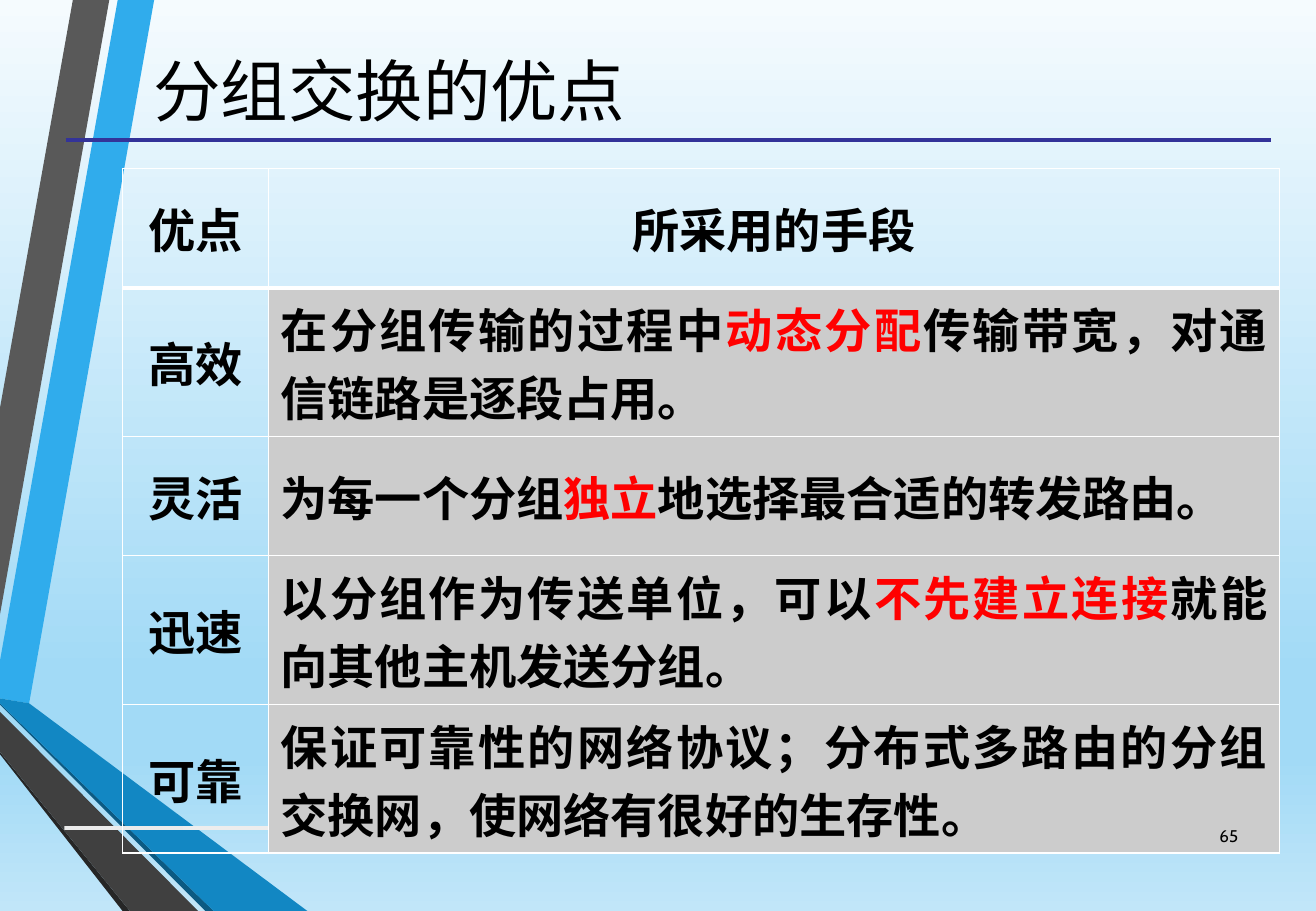
from lxml.etree import SubElement
from pptx import Presentation
from pptx.dml.color import RGBColor
from pptx.enum.shapes import MSO_CONNECTOR as Connector, MSO_SHAPE as Preset
from pptx.enum.text import MSO_ANCHOR as Anchor, MSO_AUTO_SIZE as AutoSize, PP_ALIGN as Align
from pptx.oxml.ns import qn
from pptx.util import Pt

COLORS = {
    "black": "000000", "red": "FF0000", "white": "FFFFFF", "cell": "CCCCCC",
    "rule": "333399", "mist": "EBEBEB", "sky_top": "F5FBFE", "sky": "A2DAF6",
    "sky_end": "C1E6F9", "blue": "30ACEC", "mid_blue": "1287C3", "deep_blue": "0C5A82",
    "gray": "595959", "dark_gray": "404040", "charcoal": "262626",
}
RIBBONS = [
    ("blue", [(0, 391.7), (0, 414), (17.3, 416.9), (91.4, 0), (69.8, 0)]),
    ("gray", [(64.8, 0), (43.2, 0), (0, 241.9), (0, 364.3)]),
    ("charcoal", [(0, 445.7), (0, 447.1), (72.7, 540), (77, 540)]),
    ("deep_blue", [(0, 416.9), (0, 417.6), (121.7, 540), (126.7, 540)]),
    ("mid_blue", [(0, 416.9), (126.7, 540), (182.2, 540), (17.3, 416.9), (0, 414)]),
    ("dark_gray", [(0, 445.7), (77, 540), (117.4, 540), (0, 421.9)]),
]
# Each means is a list of runs; every second run is emphasised.
ADVANTAGES = [
    ("优点", ["所采用的手段"]),
    ("高效", ["在分组传输的过程中", "动态分配", "传输带宽，对通信链路是逐段占用。"]),
    ("灵活", ["为每一个分组", "独立", "地选择最合适的转发路由。"]),
    ("迅速", ["以分组作为传送单位，可以", "不先建立连接", "就能向其他主机发送分组。"]),
    ("可靠", ["保证可靠性的网络协议；分布式多路由的分组交换网，使网络有很好的生存性。"]),
]
COLUMN_WIDTHS = [86.4, 599.2]
ROW_HEIGHTS = [70.6, 74.9, 70.6, 74.9, 74.9]


def rgb(name):
    return RGBColor.from_string(COLORS[name])


def write(frame, *texts, size, align=Align.LEFT, bold=False):
    """Fill a frame with one paragraph of runs, every second one in red."""
    paragraph = frame.paragraphs[0]
    paragraph.alignment = align
    for index, text in enumerate(texts):
        run = paragraph.add_run()
        run.text = text
        run.font.name = "Cabin"
        run.font.size = Pt(size)
        run.font.bold = bold
        run.font.color.rgb = rgb("red" if index % 2 else "black")


def set_gradient(fill, owner, stops, angle):
    """Replace the stops of a gradient fill found inside the owner element."""
    fill.gradient()
    fill.gradient_angle = angle
    stop_list = next(owner.iter(qn("a:gsLst")))
    for stop in list(stop_list):
        stop_list.remove(stop)
    for percent, name in stops:
        stop = SubElement(stop_list, qn("a:gs"), pos=str(percent * 1000))
        SubElement(stop, qn("a:srgbClr"), val=COLORS[name])


def set_borders(cell, bottom):
    for side in "LRTB":
        width = bottom if side == "B" else 1
        border = SubElement(cell._tc.get_or_add_tcPr(), qn(f"a:ln{side}"), w=str(Pt(width)))
        fill = SubElement(border, qn("a:solidFill"))
        SubElement(fill, qn("a:srgbClr"), val=COLORS["white"])


class SlideBuilder:
    def __init__(self, slide):
        self.slide = slide
        self.shapes = slide.shapes

    def background(self, stops):
        set_gradient(self.slide.background.fill, self.slide.element, stops, 270)

    def ribbon(self, color, points):
        corners = [(Pt(x), Pt(y)) for x, y in points]
        outline = self.shapes.build_freeform(*corners[0])
        outline.add_line_segments(corners[1:])
        band = outline.convert_to_shape()
        band.shadow.inherit = False
        band.fill.solid()
        band.fill.fore_color.rgb = rgb(color)
        band.line.fill.background()

    def gradient_bar(self, x, y, width, height, stops):
        bar = self.shapes.add_shape(Preset.RECTANGLE, Pt(x), Pt(y), Pt(width), Pt(height))
        bar.shadow.inherit = False
        bar.line.fill.background()
        set_gradient(bar.fill, bar.element, stops, 0)

    def rule(self, x1, x2, y):
        rule = self.shapes.add_connector(Connector.STRAIGHT, Pt(x1), Pt(y), Pt(x2), Pt(y))
        rule.line.color.rgb = rgb("rule")
        rule.line.width = Pt(2.25)
        SubElement(rule.element.spPr, qn("a:effectLst"))

    def title(self, text, x, y, width, height):
        title = self.shapes.title
        title.left, title.top, title.width, title.height = Pt(x), Pt(y), Pt(width), Pt(height)
        title.text_frame.auto_size = AutoSize.NONE
        title.text_frame.vertical_anchor = Anchor.MIDDLE
        write(title.text_frame, text, size=40, align=Align.CENTER)

    def table(self, x, y, rows):
        table = self.shapes.add_table(len(rows), 2, Pt(x), Pt(y), Pt(sum(COLUMN_WIDTHS)),
                                      Pt(sum(ROW_HEIGHTS))).table
        table.first_row = table.horz_banding = False
        for column, width in zip(table.columns, COLUMN_WIDTHS):
            column.width = Pt(width)
        for row, height in zip(table.rows, ROW_HEIGHTS):
            row.height = Pt(height)
        for r, (advantage, means) in enumerate(rows):
            for c, texts in enumerate([[advantage], means]):
                is_means = r > 0 and c == 1
                cell = table.cell(r, c)
                cell.vertical_anchor = Anchor.MIDDLE
                write(cell.text_frame, *texts, size=28, bold=True,
                      align=Align.JUSTIFY if is_means else Align.CENTER)
                set_borders(cell, bottom=1 if r else 3)
                if is_means:
                    cell.fill.solid()
                    cell.fill.fore_color.rgb = rgb("cell")
                else:
                    cell.fill.background()

    def page_number(self, number, x, y, width, height):
        frame = self.shapes.add_textbox(Pt(x), Pt(y), Pt(width), Pt(height)).text_frame
        frame.word_wrap = True
        frame.vertical_anchor = Anchor.MIDDLE
        write(frame, number, size=10, align=Align.RIGHT)


def main():
    deck = Presentation()
    deck.slide_width, deck.slide_height = Pt(780), Pt(540)
    page = SlideBuilder(deck.slides.add_slide(deck.slide_layouts[5]))
    page.background([(0, "sky_top"), (74, "sky"), (83, "sky"), (100, "sky_end")])
    for color, points in RIBBONS:
        page.ribbon(color, points)
    page.gradient_bar(38.2, 489.6, 702, 2.2, [(0, "mist"), (100, "white")])
    page.rule(38.9, 753.1, 82.8)
    page.title("分组交换的优点", -97.9, -25.2, 657.4, 156.2)
    page.table(72.7, 100, ADVANTAGES)
    page.page_number("65", 704.2, 481, 36.7, 28.8)
    deck.save("out.pptx")


if __name__ == "__main__":
    main()
